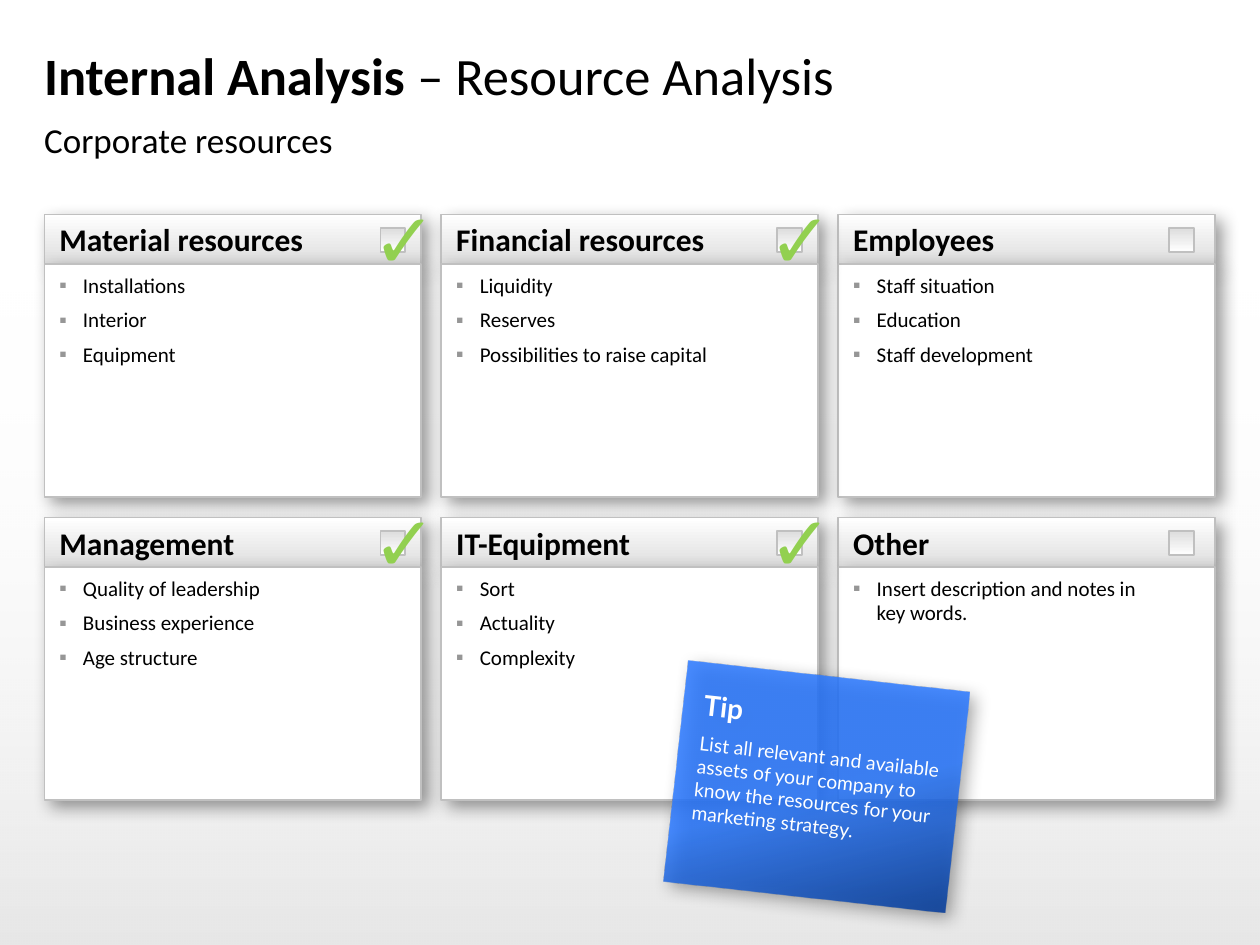
"""Build the resource analysis slide with six check cards and a tip note."""
from lxml.etree import SubElement
from pptx import Presentation
from pptx.dml.color import RGBColor
from pptx.enum.shapes import MSO_SHAPE
from pptx.enum.text import MSO_ANCHOR, MSO_AUTO_SIZE, PP_ALIGN
from pptx.oxml import parse_xml
from pptx.oxml.ns import nsdecls, qn
from pptx.util import Pt


def draw_box(shapes, place, stops, angle=0, outline=None, shadow=False, insets=(0, 0, 0, 0)):
    """Draw a rectangle filled with (position, colour, opacity) stops."""
    box = shapes.add_shape(MSO_SHAPE.RECTANGLE, *map(Pt, place))
    if len(stops) == 1:
        box.fill.solid()
        box.fill.fore_color.rgb = RGBColor.from_string(stops[0][1])
    else:
        marks = "".join(
            f'<a:gs pos="{position * 1000}"><a:srgbClr val="{colour}">'
            f'<a:alpha val="{opacity * 1000}"/></a:srgbClr></a:gs>'
            for position, colour, opacity in stops)
        box._element.spPr.find(qn("a:prstGeom")).addnext(parse_xml(
            f'<a:gradFill rotWithShape="1" {nsdecls("a")}><a:gsLst>{marks}</a:gsLst>'
            f'<a:lin ang="{angle * 60000}" scaled="0"/></a:gradFill>'))
    if outline:
        box.line.color.rgb = RGBColor.from_string(outline)
        box.line.width = Pt(1)
    else:
        box.line.fill.background()
    box.shadow.inherit = False
    if shadow:
        box._element.spPr.find(qn("a:effectLst")).append(parse_xml(
            f'<a:outerShdw {nsdecls("a")} blurRad="{Pt(10)}" dist="{Pt(5)}" dir="2700000" '
            'algn="tl" rotWithShape="0"><a:srgbClr val="000000"><a:alpha val="40000"/>'
            '</a:srgbClr></a:outerShdw>'))
    frame = box.text_frame
    frame.word_wrap = True
    frame.vertical_anchor = MSO_ANCHOR.TOP
    frame.margin_left, frame.margin_top, frame.margin_right, frame.margin_bottom = map(Pt, insets)
    return box


def write(para, text, size, colour="000000", bold=False, name="Calibri"):
    """Add one formatted run to a left-aligned paragraph."""
    para.alignment = PP_ALIGN.LEFT
    span = para.add_run()
    span.text = text
    span.font.size = Pt(size)
    span.font.bold = bold
    span.font.name = name
    span.font.color.rgb = RGBColor.from_string(colour)
    return span


deck = Presentation()
deck.slide_width, deck.slide_height = Pt(720), Pt(540)
page = deck.slides.add_slide(deck.slide_layouts[1])

backdrop = draw_box(page.shapes, (0, 159, 720, 381), [(0, "000000", 10), (100, "FFFFFF", 0)], 270)
page.shapes._spTree.insert(2, backdrop._element)

title, subtitle = page.placeholders
for holder, top, height, anchor in ((title, 18.7, 48.2, MSO_ANCHOR.MIDDLE),
                                    (subtitle, 67.7, 26.6, MSO_ANCHOR.TOP)):
    holder.left, holder.top, holder.width, holder.height = map(Pt, (25.2, top, 669, height))
    frame = holder.text_frame
    frame.margin_left = frame.margin_top = frame.margin_right = frame.margin_bottom = 0
    frame.auto_size = MSO_AUTO_SIZE.NONE
    frame.vertical_anchor = anchor
write(title.text_frame.paragraphs[0], "Internal Analysis ", 30, bold=True)
write(title.text_frame.paragraphs[0], "– Resource Analysis", 30)
para = subtitle.text_frame.paragraphs[0]
properties = para._p.get_or_add_pPr()
properties.set("marL", "0")
properties.set("indent", "0")
SubElement(properties, qn("a:buNone"))
para.space_before = Pt(0)
write(para, "Corporate resources", 20)

cards = [
    (2, 0, "Employees", False, ["Staff situation", "Education", "Staff development"]),
    (2, 1, "Other", False, ["Insert description and notes in \nkey words."]),
    (0, 0, "Material resources", True, ["Installations", "Interior", "Equipment"]),
    (1, 0, "Financial resources", True,
     ["Liquidity", "Reserves", "Possibilities to raise capital"]),
    (0, 1, "Management", True, ["Quality of leadership", "Business experience", "Age structure"]),
    (1, 1, "IT-Equipment", True, ["Sort", "Actuality", "Complexity"]),
]
silver = [(0, "FFFFFF", 100), (100, "DDDDDD", 100)]

for column, row, heading, ticked, items in cards:
    left, top = 25.4 + 226.8 * column, 122.6 + 173.2 * row
    card = page.shapes.add_group_shape().shapes

    header = draw_box(card, (left, top, 215.4, 28.4), silver, 90, "C0C0C0", True, (8.5, 0, 0, 0))
    header.text_frame.vertical_anchor = MSO_ANCHOR.MIDDLE
    write(header.text_frame.paragraphs[0], heading, 18, bold=True)

    body = draw_box(card, (left, top + 28.4, 215.4, 133), [(0, "FFFFFF", 100)], 0,
                    "C0C0C0", True, (8.5, 5.67, 8.5, 5.67))
    for number, item in enumerate(items):
        para = body.text_frame.paragraphs[0] if number == 0 else body.text_frame.add_paragraph()
        properties = para._p.get_or_add_pPr()
        properties.set("marL", str(Pt(13.5)))
        properties.set("indent", str(Pt(-13.5)))
        colour = SubElement(properties, qn("a:buClr"))
        SubElement(colour, qn("a:srgbClr"), val="969696")
        SubElement(properties, qn("a:buFont"), typeface="Calibri")
        SubElement(properties, qn("a:buChar"), char="▪")
        para.line_spacing = 0.95
        para.space_after = Pt(6)
        for line, text in enumerate(item.split("\n")):
            if line:
                para.add_line_break()
            write(para, text, 12)

    draw_box(card, (left + (192 if ticked else 189.2), top + 7.6, 14, 14), silver, 270, "C0C0C0")
    if ticked:
        tick = card.add_textbox(*map(Pt, (left + 187.2, top - 13, 38, 53.3)))
        frame = tick.text_frame
        frame.margin_left = frame.margin_top = frame.margin_right = frame.margin_bottom = 0
        frame.word_wrap = False
        frame.auto_size = MSO_AUTO_SIZE.SHAPE_TO_FIT_TEXT
        span = write(frame.paragraphs[0], "✓", 44, "92D050", True)
        span.font._element.set("spc", "300")
        span.font._element.insert(0, parse_xml(
            f'<a:ln {nsdecls("a")} w="{Pt(0.9)}"><a:solidFill><a:srgbClr val="FFFFFF"/>'
            '</a:solidFill></a:ln>'))

note = draw_box(page.shapes, (386, 386, 161.3, 126.7),
                [(0, "2A79FF", 85), (53, "2A79FF", 85), (100, "003794", 85)], 70,
                shadow=True, insets=(11.5, 14.4, 5.8, 3.6))
note.rotation = 6.4
tip = note.text_frame.paragraphs[0]
write(tip, "Tip", 16, "FFFFFF", True, "Lato")
advice = note.text_frame.add_paragraph()
write(advice, "List all relevant and available assets of your company to know the resources "
      "for your marketing strategy.", 11, "FFFFFF", name="Lato")
tip.space_after = advice.space_after = Pt(6)

deck.save("out.pptx")
